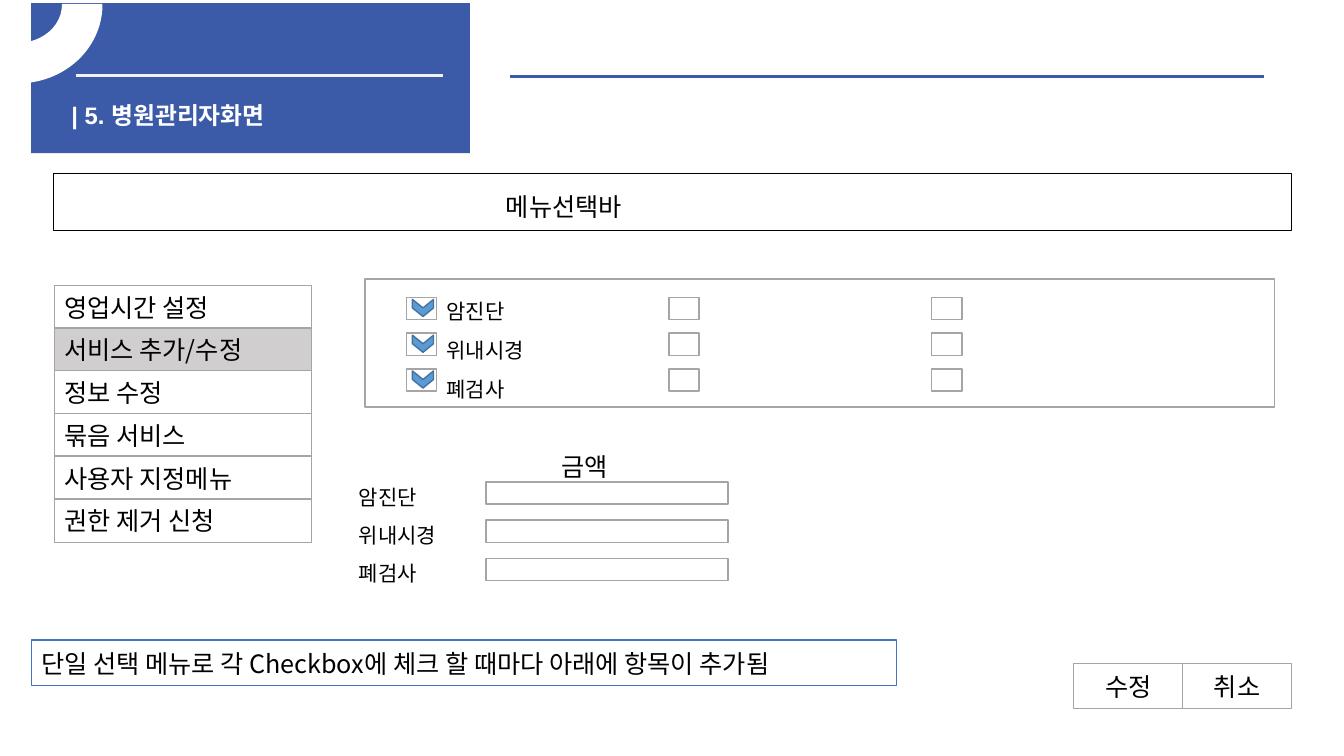
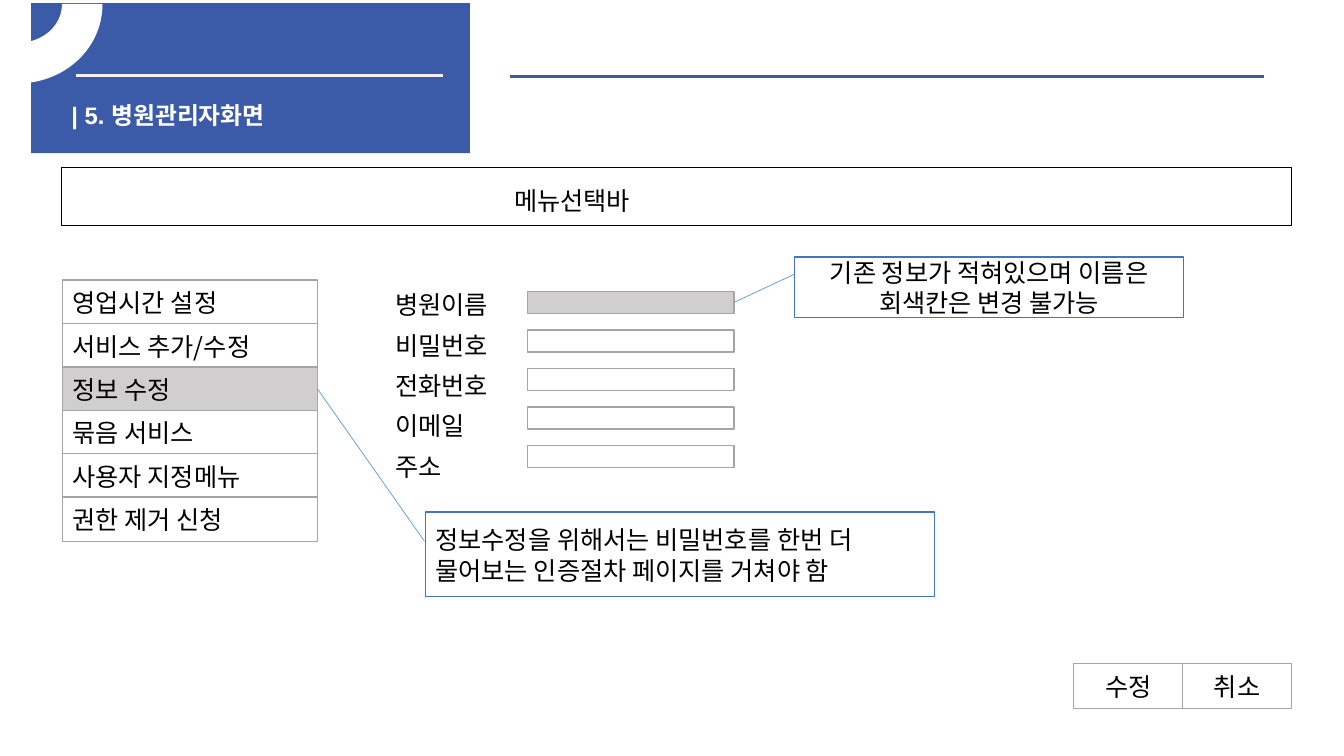
from pptx import Presentation
from pptx.dml.color import RGBColor
from pptx.enum.shapes import MSO_CONNECTOR as Link, MSO_SHAPE as Kind
from pptx.enum.text import MSO_ANCHOR as Anchor, PP_ALIGN as Align
from pptx.oxml.ns import qn
from pptx.util import Inches, Pt
from lxml.etree import SubElement

HUE = {"band": "3B5AA8", "pale": "F2F2F2", "white": "FFFFFF", "black": "000000",
       "edge": "A5A5A5", "grey": "D0CECE", "note": "4472C4",
       "sky": "5B9BD5", "tick": "43739E"}
LATIN, HANGUL = "Arial", "Noto Sans CJK KR"
LEADING = 1.22

TITLE = "| 5. 병원관리자화면"
BAR = "메뉴선택바"
MENU = ["영업시간 설정", "서비스 추가/수정", "정보 수정",
        "묶음 서비스", "사용자 지정메뉴", "권한 제거 신청"]
BUTTONS = ["수정", "취소"]
TESTS = ["암진단", "위내시경", "폐검사"]
PRICE = "금액"
ADDED = "단일 선택 메뉴로 각 Checkbox에 체크 할 때마다 아래에 항목이 추가됨"
FORM = ["병원이름", "비밀번호", "전화번호", "이메일", "주소"]
LOCKED = "기존 정보가 적혀있으며 이름은 회색칸은 변경 불가능"
VERIFY = "정보수정을 위해서는 비밀번호를 한번 더 물어보는 인증절차 페이지를 거쳐야 함"


def color(name):
    return RGBColor.from_string(HUE[name])


def spread(first, last, count):
    return [first + (last - first) * i / (count - 1) for i in range(count)]


def write(shape, text, size=18, hue="black", font=HANGUL, bold=False,
          align=Align.LEFT, anchor=Anchor.MIDDLE):
    frame = shape.text_frame
    frame.word_wrap = True
    frame.vertical_anchor = anchor
    para = frame.paragraphs[0]
    para.alignment = align
    para.line_spacing = Pt(round(size * LEADING, 1))
    run = para.add_run()
    run.text = text
    run.font.size, run.font.bold, run.font.name = Pt(size), bold, font
    run.font.color.rgb = color(hue)
    SubElement(run.font._element, qn("a:ea")).set("typeface", HANGUL)


def box(slide, x, y, w, h, fill="white", line="edge", kind=Kind.RECTANGLE):
    shape = slide.shapes.add_shape(kind, Inches(x), Inches(y), Inches(w), Inches(h))
    shape.shadow.inherit = False
    if fill:
        shape.fill.solid()
        shape.fill.fore_color.rgb = color(fill)
    else:
        shape.fill.background()
    if line:
        shape.line.color.rgb = color(line)
        shape.line.width = Pt(1)
    else:
        shape.line.fill.background()
    return shape


def label(slide, x, y, w, h, text, **style):
    area = slide.shapes.add_textbox(Inches(x), Inches(y), Inches(w), Inches(h))
    write(area, text, anchor=Anchor.TOP, **style)


def rule(slide, start, end, hue, width):
    line = slide.shapes.add_connector(Link.STRAIGHT, *map(Inches, start + end))
    line.line.color.rgb = color(hue)
    line.line.width = Pt(width)
    SubElement(line._element.spPr, qn("a:effectLst"))
    return line


def note(slide, x, y, w, h, text, align=Align.LEFT):
    shape = box(slide, x, y, w, h, line="note", kind=Kind.FLOWCHART_PROCESS)
    write(shape, text, align=align)


def header(slide):
    box(slide, 0.31, 0.03, 4.35, 1.49, "band", None)
    rule(slide, (0.75, 0.75), (4.39, 0.75), "pale", 2.25)
    rule(slide, (5.06, 0.76), (12.54, 0.76), "band", 2.25)
    label(slide, 0.61, 0.95, 2.83, 0.39, TITLE, size=17, hue="white",
          font=LATIN, bold=True)
    ring = box(slide, -0.65, -0.73, 1.66, 1.55, "white", "white", Kind.BLOCK_ARC)
    for i, value in enumerate((0, 119.05, 0.25)):
        ring.adjustments[i] = value


def frame(deck, bar, menu, chosen):
    slide = deck.slides.add_slide(deck.slide_layouts[6])
    header(slide)
    x, y, w, h = bar
    box(slide, x, y, w, h, None, "black")
    label(slide, x + 4.39, y + 0.12, 3, 0.33, BAR)
    x, top, last, w, h = menu
    items = []
    for i, y in enumerate(spread(top, last, len(MENU))):
        item = box(slide, x, y, w, h, "grey" if i == chosen else "white")
        write(item, MENU[i])
        items.append(item)
    for i, text in enumerate(BUTTONS):
        button = box(slide, 10.65 + 1.08 * i, 6.58, 1.08, 0.45)
        write(button, text, align=Align.CENTER)
    return slide, items[chosen]


def service(deck):
    slide, _ = frame(deck, (0.53, 1.72, 12.28, 0.57), (0.54, 2.83, 4.95, 2.55, 0.43), 1)
    box(slide, 3.62, 2.77, 9.02, 1.27)
    count = len(TESTS)
    checks = spread(2.95, 3.66, count)
    for x in spread(4.03, 9.24, 3):
        for y in checks:
            box(slide, x, y, 0.3, 0.22)
    for y in checks:
        mark = box(slide, 4.11, y, 0.17, 0.21, "sky", "tick", Kind.CHEVRON)
        mark.rotation = 90
    for text, y in zip(TESTS, spread(2.91, 3.68, count)):
        label(slide, 4.33, y, 1.14, 0.29, text, size=15)
    label(slide, 5.47, 4.42, 0.8, 0.33, PRICE)
    for text, y in zip(TESTS, spread(4.75, 5.51, count)):
        label(slide, 3.46, y, 1.14, 0.29, text, size=15)
        box(slide, 4.82, y + 0.03, 2.4, 0.22)
    note(slide, 0.31, 6.35, 8.58, 0.45, ADDED)


def profile(deck):
    slide, item = frame(deck, (0.61, 1.66, 12.2, 0.58), (0.62, 2.78, 4.93, 2.53, 0.44), 2)
    count = len(FORM)
    fields = []
    for i, y in enumerate(spread(2.89, 4.42, count)):
        fields.append(box(slide, 5.23, y, 2.05, 0.22, "white" if i else "grey"))
    for text, y in zip(FORM, spread(2.82, 4.42, count)):
        label(slide, 3.82, y, 1.29, 0.33, text)
    rule(slide, (7.28, 3), (7.88, 2.72), "sky", 0.5).begin_connect(fields[0], 3)
    note(slide, 7.88, 2.55, 3.86, 0.6, LOCKED, Align.CENTER)
    rule(slide, (3.15, 3.86), (4.21, 5.37), "sky", 0.5).begin_connect(item, 3)
    note(slide, 4.22, 5.08, 5.05, 0.84, VERIFY)


def main():
    deck = Presentation()
    deck.slide_width, deck.slide_height = Inches(13.33), Inches(7.5)
    service(deck)
    profile(deck)
    deck.save("out.pptx")


if __name__ == "__main__":
    main()
